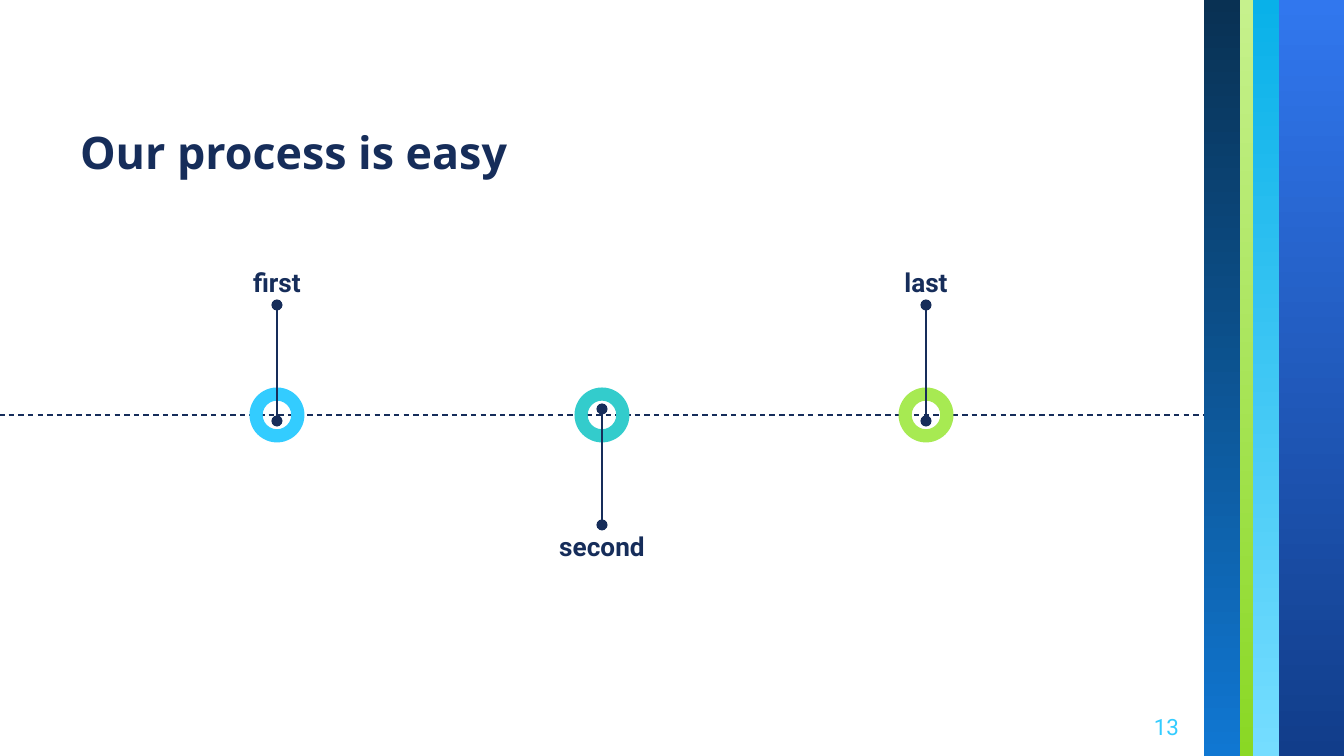
from lxml import etree
from pptx import Presentation
from pptx.dml.color import RGBColor
from pptx.enum.dml import MSO_LINE
from pptx.enum.shapes import MSO_CONNECTOR, MSO_SHAPE
from pptx.enum.text import MSO_ANCHOR, PP_ALIGN
from pptx.oxml.ns import qn
from pptx.util import Pt

EMU_PER_PX = 914400 / 134.4
SLIDE_WIDTH, SLIDE_HEIGHT = 1344, 756
TIMELINE_Y = 415
RING_SIZE = 55
LABEL_WIDTH, LABEL_HEIGHT = 164, 55
STEM_OVERLAP, STEM_REACH = 6, 110

NAVY = RGBColor(0x16, 0x2D, 0x5A)
SKY = RGBColor(0x33, 0xCC, 0xFF)
TEAL = RGBColor(0x33, 0xCC, 0xCC)
LIME = RGBColor(0xA7, 0xEA, 0x52)

RECTANGLE, DONUT = MSO_SHAPE.RECTANGLE, MSO_SHAPE.DONUT
STRAIGHT = MSO_CONNECTOR.STRAIGHT
DASH = MSO_LINE.DASH
TOP, MIDDLE, BOTTOM = MSO_ANCHOR.TOP, MSO_ANCHOR.MIDDLE, MSO_ANCHOR.BOTTOM
LEFT, CENTER, RIGHT = PP_ALIGN.LEFT, PP_ALIGN.CENTER, PP_ALIGN.RIGHT

BARS = [
    (1278, 66, RGBColor(0x31, 0x77, 0xEE), RGBColor(0x11, 0x3D, 0x8A)),
    (1253, 26, RGBColor(0x09, 0xB1, 0xE9), RGBColor(0x75, 0xDD, 0xFF)),
    (1240, 13, RGBColor(0xC6, 0xF1, 0x8D), RGBColor(0x8A, 0xD8, 0x24)),
    (1204, 36, RGBColor(0x09, 0x31, 0x53), RGBColor(0x10, 0x77, 0xD2)),
]
STEPS = [
    ("first", 277, SKY, True),
    ("second", 602, TEAL, False),
    ("last", 926, LIME, True),
]


def px(*lengths):
    """Turn lengths in pixels into a list of EMU."""
    return [round(length * EMU_PER_PX) for length in lengths]


def add_plain_shape(slide, kind, left, top, width, height):
    """Add a preset shape without line or shadow."""
    shape = slide.shapes.add_shape(kind, *px(left, top, width, height))
    shape.shadow.inherit = False
    shape.line.fill.background()
    return shape


def add_gradient_bar(slide, left, width, top_color, bottom_color):
    """Add a full-height bar shaded from top to bottom."""
    bar = add_plain_shape(slide, RECTANGLE, left, 0, width, SLIDE_HEIGHT)
    bar.fill.gradient()
    bar.fill.gradient_angle = 270
    for stop, color in zip(bar.fill.gradient_stops, (top_color, bottom_color)):
        stop.color.rgb = color


def add_ring(slide, center_x, color):
    """Add a donut centred on the timeline."""
    half = RING_SIZE / 2
    ring = add_plain_shape(slide, DONUT, center_x - half, TIMELINE_Y - half,
                           RING_SIZE, RING_SIZE)
    ring.adjustments[0] = 0.24
    ring.fill.solid()
    ring.fill.fore_color.rgb = color


def add_line(slide, start, end, width):
    """Add a navy straight connector without shadow."""
    connector = slide.shapes.add_connector(STRAIGHT, *px(*start, *end))
    connector.line.color.rgb = NAVY
    connector.line.width = Pt(width)
    etree.SubElement(connector._element.spPr, qn("a:effectLst"))
    return connector


def add_stem(slide, center_x, start_y, end_y):
    """Add a vertical line with a dot at each end."""
    stem = add_line(slide, (center_x, start_y), (center_x, end_y), 1.5)
    outline = stem.line._get_or_add_ln()
    for end in ("a:headEnd", "a:tailEnd"):
        etree.SubElement(outline, qn(end), type="oval")


def add_text(slide, text, box, font, size, color, align, anchor=TOP, bold=True):
    """Add a wrapped one-paragraph text box."""
    frame = slide.shapes.add_textbox(*px(*box)).text_frame
    frame.word_wrap = True
    frame.vertical_anchor = anchor
    [inset] = px(13)
    frame.margin_left = frame.margin_right = inset
    frame.margin_top = frame.margin_bottom = inset
    paragraph = frame.paragraphs[0]
    paragraph.text = text
    paragraph.alignment = align
    paragraph.font.name = font
    paragraph.font.size = Pt(size)
    paragraph.font.bold = bold
    paragraph.font.color.rgb = color


def add_step(slide, label, center_x, color, above):
    """Add a ring with its stem and its label above or below."""
    direction = -1 if above else 1
    add_ring(slide, center_x, color)
    add_stem(slide, center_x, TIMELINE_Y - direction * STEM_OVERLAP,
             TIMELINE_Y + direction * STEM_REACH)
    label_top = 253 if above else 517
    box = (center_x - LABEL_WIDTH / 2, label_top, LABEL_WIDTH, LABEL_HEIGHT)
    add_text(slide, label, box, "Roboto", 14, NAVY, CENTER)


def main():
    """Build the process slide and save it."""
    presentation = Presentation()
    presentation.slide_width, presentation.slide_height = px(SLIDE_WIDTH, SLIDE_HEIGHT)
    slide = presentation.slides.add_slide(presentation.slide_layouts[6])
    for bar in BARS:
        add_gradient_bar(slide, *bar)
    add_text(slide, "Our process is easy", (67, 83, 780, 108),
             "Open Sans", 24, NAVY, LEFT, BOTTOM)
    add_text(slide, "13", (1111, 698, 81, 58),
             "Roboto", 12, SKY, RIGHT, MIDDLE, bold=False)
    timeline = add_line(slide, (-1, TIMELINE_Y), (1204, TIMELINE_Y), 0.75)
    timeline.line.dash_style = DASH
    for step in STEPS:
        add_step(slide, *step)
    presentation.save("out.pptx")


if __name__ == "__main__":
    main()
